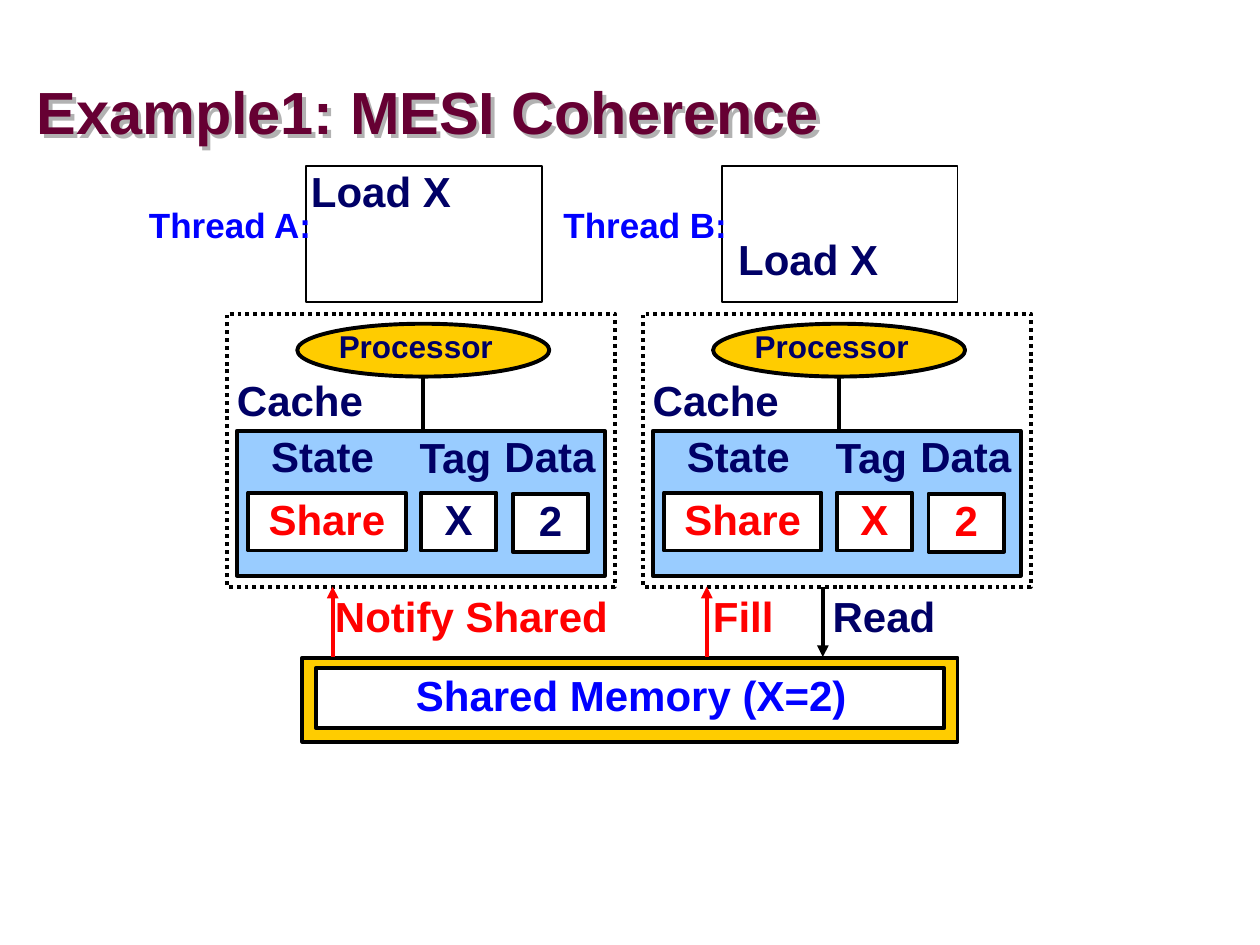
from lxml.etree import SubElement
from pptx import Presentation
from pptx.dml.color import RGBColor
from pptx.enum.dml import MSO_LINE
from pptx.enum.shapes import MSO_CONNECTOR, MSO_SHAPE
from pptx.enum.text import MSO_ANCHOR, MSO_AUTO_SIZE, PP_ALIGN
from pptx.oxml import parse_xml
from pptx.oxml.ns import qn
from pptx.util import Pt

NAVY, BLUE, RED, BLACK = "000066", "0000FF", "FF0000", "000000"
WHITE, GOLD, SKY, PLUM = "FFFFFF", "FFCC00", "99CCFF", "660033"
TEXT_HEIGHT = 33.1
TITLE_SHADOW = (
    '<a:effectLst xmlns:a="http://schemas.openxmlformats.org/drawingml/2006/main">'
    '<a:outerShdw dist="38100" dir="2700000" algn="ctr" rotWithShape="0">'
    '<a:srgbClr val="B2B2B2"/></a:outerShdw></a:effectLst>')


def color(value):
    return RGBColor.from_string(value)


def set_all(target, values):
    for name, value in values.items():
        setattr(target, name, value)


def write(shape, text, text_color=NAVY, size=24, align=PP_ALIGN.CENTER,
          spacing=0.9, **frame_format):
    frame = shape.text_frame
    set_all(frame, {"word_wrap": True, "auto_size": MSO_AUTO_SIZE.SHAPE_TO_FIT_TEXT,
                    "vertical_anchor": MSO_ANCHOR.TOP, **frame_format})
    paragraph = frame.paragraphs[0]
    set_all(paragraph, {"alignment": align, "line_spacing": spacing,
                        "space_before": Pt(0)})
    run = paragraph.add_run()
    run.text = text
    set_all(run.font, {"name": "Arial", "size": Pt(size), "bold": True})
    run.font.color.rgb = color(text_color)


def add_label(shapes, box, text, **text_format):
    write(shapes.add_textbox(*map(Pt, box)), text, **text_format)


def add_box(shapes, box, fill=None, width=2.25, kind=MSO_SHAPE.RECTANGLE, dash=None):
    shape = shapes.add_shape(kind, *map(Pt, box))
    shape.shadow.inherit = False
    if fill:
        shape.fill.solid()
        shape.fill.fore_color.rgb = color(fill)
    else:
        shape.fill.background()
    shape.line.color.rgb = color(BLACK)
    shape.line.width = Pt(width)
    if dash:
        shape.line.dash_style = dash
    return shape


def add_vertical(shapes, x, start, end, line_color=BLACK, arrow=False):
    line = shapes.add_connector(MSO_CONNECTOR.STRAIGHT, Pt(x), Pt(start), Pt(x), Pt(end))
    line.line.color.rgb = color(line_color)
    line.line.width = Pt(2.25)
    if arrow:
        SubElement(line.line._get_or_add_ln(), qn("a:tailEnd"), type="triangle")
    SubElement(line._element.spPr, qn("a:effectLst"))


def add_title(slide, left, top, width, height):
    title = slide.shapes.title
    set_all(title, {"left": Pt(left), "top": Pt(top),
                    "width": Pt(width), "height": Pt(height)})
    write(title, "Example1: MESI Coherence", PLUM, 34, PP_ALIGN.LEFT, 0.87,
          vertical_anchor=MSO_ANCHOR.MIDDLE, auto_size=MSO_AUTO_SIZE.NONE,
          margin_left=0, margin_top=0, margin_right=0, margin_bottom=0)
    # Without a fill, the shadow of the shape falls on its text
    title.fill.background()
    title._element.spPr.append(parse_xml(TITLE_SHADOW))


def add_cache(slide, left, top, value_color):
    shapes = slide.shapes.add_group_shape().shapes
    add_box(shapes, (left, top, 210.2, 82.8), SKY)
    # Header x, y and width; cell x, y and width
    columns = (
        ("State", 12.2, -0.7, 73.4, "Share", 6.4, 35.3, 90, RED),
        ("Tag", 90, 0, 69.8, "X", 105.1, 35.3, 43.2, value_color),
        ("Data", 144, -0.7, 69.8, "2", 157.6, 36, 43.2, value_color),
    )
    for header, hx, hy, header_width, value, cx, cy, cell_width, cell_color in columns:
        add_label(shapes, (left + hx, top + hy, header_width, TEXT_HEIGHT), header)
        cell = add_box(shapes, (left + cx, top + cy, cell_width, TEXT_HEIGHT), WHITE)
        write(cell, value, cell_color)


def add_thread(slide, left, top, name, load_x, load_y, value_color):
    shapes = slide.shapes
    # Instructions of the thread
    add_box(shapes, (left + 45.4, top, 134.6, 77.8), width=1)
    add_label(shapes, (left - 52.6, top + 20.2, 108, 28.8), name, text_color=BLUE,
              size=20, align=PP_ALIGN.RIGHT, word_wrap=False)
    add_label(shapes, (left + load_x, top + load_y, 95, TEXT_HEIGHT), "Load X",
              align=PP_ALIGN.LEFT, word_wrap=False)
    # Processor with its cache
    add_box(shapes, (left, top + 84.2, 221.8, 156.2), dash=MSO_LINE.ROUND_DOT)
    add_box(shapes, (left + 40.3, top + 90, 144, 30.2), GOLD, kind=MSO_SHAPE.OVAL)
    add_label(shapes, (left + 55, top + 90.7, 106, 26.6), "Processor", size=18,
              vertical_anchor=MSO_ANCHOR.MIDDLE, word_wrap=False)
    add_label(shapes, (left - 1.4, top + 118.8, 86.4, TEXT_HEIGHT), "Cache",
              word_wrap=False)
    add_cache(slide, left + 5.8, top + 151.2, value_color)
    add_vertical(shapes, left + 112.3, top + 121, top + 151.2)


def add_memory(slide, left, top, width, height):
    shapes = slide.shapes
    add_box(shapes, (left, top, width, height), GOLD)
    add_box(shapes, (left + 7.9, top + 5.8, width - 15.8, 34.6), WHITE)
    add_label(shapes, (left + 56.9, top + 6.5, 262, TEXT_HEIGHT),
              "Shared Memory (X=2)", text_color=BLUE, word_wrap=False)


def add_messages(slide, top, height):
    bottom = top + height
    # Arrow x, label x and width, direction
    messages = (
        ("Notify Shared", 190.1, 184.3, 187.9, RED, True),
        ("Fill", 403.9, 400.3, 50, RED, True),
        ("Read", 470.2, 468.7, 76, NAVY, False),
    )
    for text, arrow_x, label_x, width, text_color, upward in messages:
        add_label(slide.shapes, (label_x, top + 1.8, width, TEXT_HEIGHT), text,
                  text_color=text_color, align=PP_ALIGN.LEFT)
        start, end = (bottom, top) if upward else (top, bottom)
        add_vertical(slide.shapes, arrow_x, start, end, RED if upward else BLACK, True)


def main():
    presentation = Presentation()
    presentation.slide_width, presentation.slide_height = Pt(720), Pt(540)
    slide = presentation.slides.add_slide(presentation.slide_layouts[5])
    add_title(slide, 20.9, 48.2, 678.2, 36)
    add_memory(slide, 172.8, 375.8, 374.4, 48.2)
    add_thread(slide, 129.6, 95, "Thread A:", 41, -0.7, NAVY)
    add_thread(slide, 367.2, 95, "Thread B:", 47.5, 38.2, RED)
    add_messages(slide, 335.2, 40.3)
    presentation.save("out.pptx")


if __name__ == "__main__":
    main()
